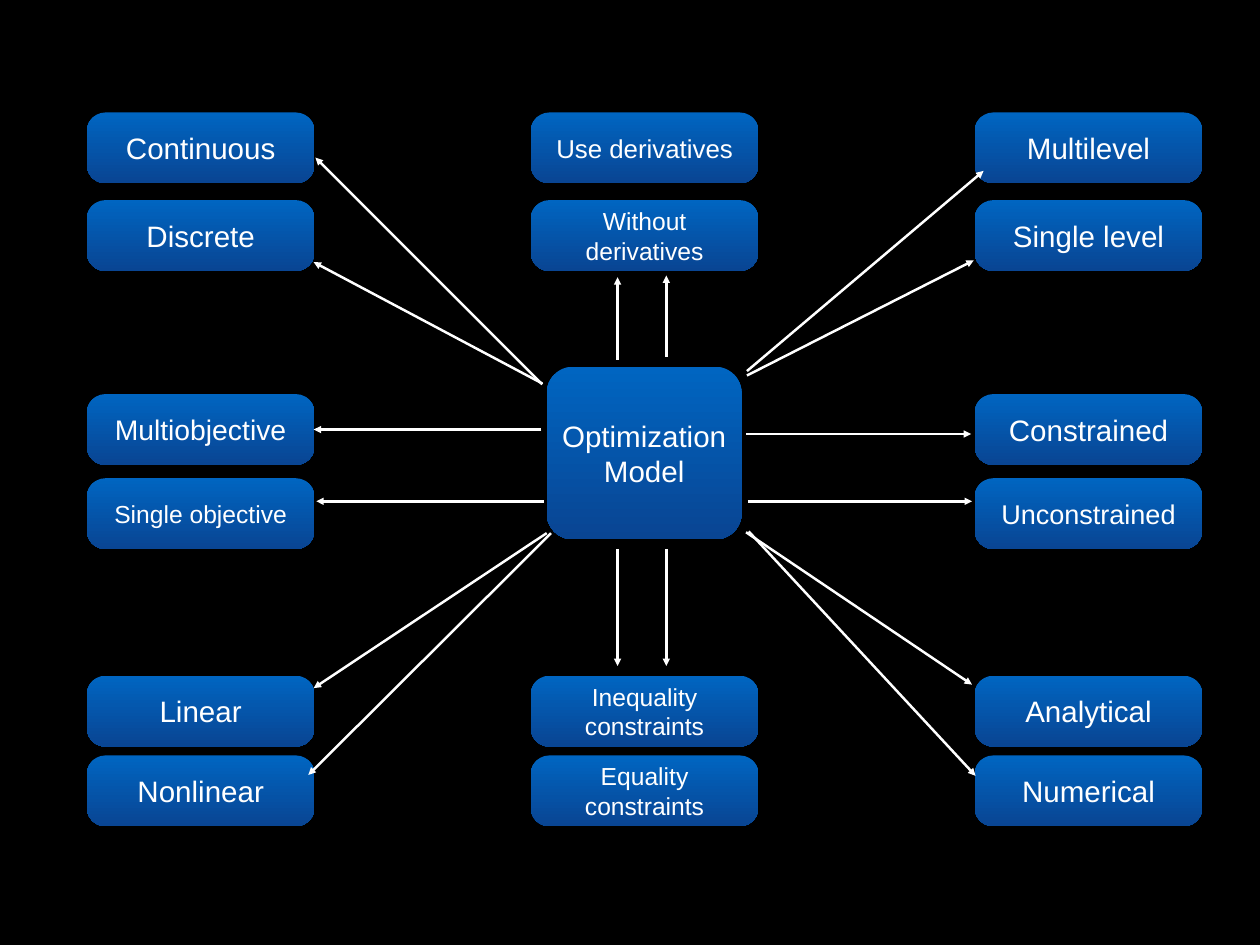
from typing import NamedTuple

from lxml.etree import SubElement
from pptx import Presentation
from pptx.dml.color import RGBColor
from pptx.enum.shapes import MSO_CONNECTOR, MSO_SHAPE
from pptx.enum.text import MSO_ANCHOR, PP_ALIGN
from pptx.oxml.ns import qn
from pptx.slide import Slide
from pptx.util import Inches, Pt

BLACK = RGBColor(0x00, 0x00, 0x00)
WHITE = RGBColor(0xFF, 0xFF, 0xFF)
BRIGHT_BLUE = RGBColor(0x00, 0x65, 0xC1)
DEEP_BLUE = RGBColor(0x09, 0x45, 0x93)

COLUMN_LEFTS = (0.98, 5.99, 11)
ROW_TOPS = (1.27, 2.26, 4.45, 5.4, 7.63, 8.53)
CHOICE_WIDTH, CHOICE_HEIGHT = 2.57, 0.8


class Label(NamedTuple):
    text: str
    size: int = 24


class Box(NamedTuple):
    label: Label
    left: float
    top: float
    width: float = CHOICE_WIDTH
    height: float = CHOICE_HEIGHT
    rounding: float = 0.262


class Arrow(NamedTuple):
    start_x: float
    start_y: float
    end_x: float
    end_y: float


# One line per row of the diagram, left to right; the model fills the middle gap.
CHOICES = (
    (Label("Continuous"), Label("Use derivatives", 21), Label("Multilevel")),
    (Label("Discrete"), Label("Without derivatives", 20), Label("Single level")),
    (Label("Multiobjective", 23), None, Label("Constrained")),
    (Label("Single objective", 20), None, Label("Unconstrained", 22)),
    (Label("Linear"), Label("Inequality constraints", 20), Label("Analytical")),
    (Label("Nonlinear"), Label("Equality constraints", 20), Label("Numerical")),
)
MODEL = Box(Label("Optimization\nModel"), 6.17, 4.14, 2.2, 1.95, 0.152)

ARROWS = (
    # to the left column
    Arrow(6.12, 4.34, 3.56, 1.78),
    Arrow(6.12, 4.33, 3.54, 2.96),
    Arrow(6.11, 4.85, 3.54, 4.85),
    Arrow(6.14, 5.66, 3.57, 5.66),
    Arrow(6.17, 6.02, 3.54, 7.77),
    Arrow(6.22, 6.02, 3.48, 8.75),
    # up and down
    Arrow(6.97, 4.06, 6.97, 3.13),
    Arrow(7.52, 4.03, 7.52, 3.11),
    Arrow(6.97, 6.2, 6.97, 7.52),
    Arrow(7.52, 6.2, 7.52, 7.52),
    # to the right column
    Arrow(8.43, 4.19, 11.1, 1.93),
    Arrow(8.43, 4.24, 10.99, 2.94),
    Arrow(8.42, 4.9, 10.96, 4.9),
    Arrow(8.44, 5.66, 10.97, 5.66),
    Arrow(8.42, 6.01, 10.97, 7.73),
    Arrow(8.45, 6, 11.01, 8.76),
)


def draw_box(page: Slide, box: Box) -> None:
    shape = page.shapes.add_shape(
        MSO_SHAPE.ROUNDED_RECTANGLE,
        Inches(box.left), Inches(box.top), Inches(box.width), Inches(box.height),
    )
    shape.adjustments[0] = box.rounding
    shape.shadow.inherit = False
    shape.line.fill.background()
    shape.fill.gradient()
    shape.fill.gradient_angle = 270
    for stop, color in zip(shape.fill.gradient_stops, (BRIGHT_BLUE, DEEP_BLUE)):
        stop.color.rgb = color

    frame = shape.text_frame
    frame.word_wrap = True
    frame.vertical_anchor = MSO_ANCHOR.MIDDLE
    frame.margin_left = frame.margin_right = Inches(0.06)
    frame.margin_top = frame.margin_bottom = 0
    frame.text = box.label.text
    for para in frame.paragraphs:
        para.alignment = PP_ALIGN.CENTER
        para.font.name = "Arial"
        para.font.size = Pt(box.label.size)
        para.font.color.rgb = WHITE


def draw_arrow(page: Slide, arrow: Arrow) -> None:
    connector = page.shapes.add_connector(
        MSO_CONNECTOR.STRAIGHT, *(Inches(value) for value in arrow)
    )
    connector.line.color.rgb = WHITE
    connector.line.width = Pt(2)
    properties = connector.element.spPr
    SubElement(properties.find(qn("a:ln")), qn("a:tailEnd"), type="triangle")
    SubElement(properties, qn("a:effectLst"))


def main() -> None:
    deck = Presentation()
    deck.slide_width, deck.slide_height = Inches(14.22), Inches(10.67)
    page = deck.slides.add_slide(deck.slide_layouts[6])
    page.background.fill.solid()
    page.background.fill.fore_color.rgb = BLACK

    for top, labels in zip(ROW_TOPS, CHOICES):
        for left, label in zip(COLUMN_LEFTS, labels):
            if label:
                draw_box(page, Box(label, left, top))
    draw_box(page, MODEL)
    for arrow in ARROWS:
        draw_arrow(page, arrow)

    deck.save("out.pptx")


if __name__ == "__main__":
    main()
